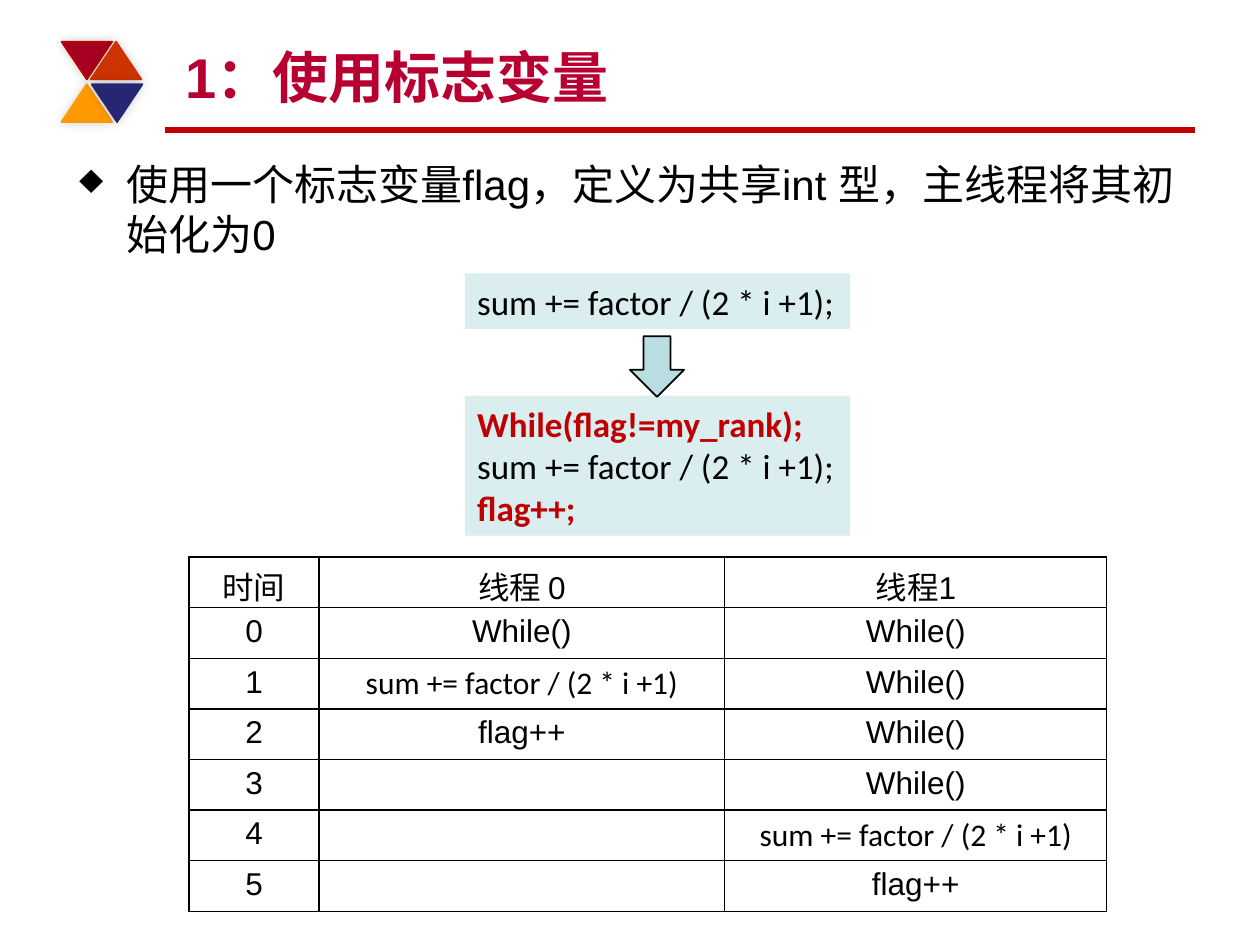
"""Build a slide on serialising threads with a flag variable."""
import pptx
import pptx.dml.color
import pptx.enum.shapes
import pptx.enum.text
import pptx.oxml
import pptx.oxml.ns
import pptx.util
from lxml import etree

Cm, Pt = pptx.util.Cm, pptx.util.Pt
SHAPE = pptx.enum.shapes.MSO_SHAPE
ANCHOR = pptx.enum.text.MSO_ANCHOR
ALIGN = pptx.enum.text.PP_ALIGN
AUTO = pptx.enum.text.MSO_AUTO_SIZE
NS = pptx.oxml.ns.nsdecls("a")

THEME = {
    "sans": "Arial", "code": "Calibri",
    "black": "000000", "title": "B70031", "accent": "C00000",
    "panel": "DAEDEF", "arrow": "BADDE1",
    "title_pt": 32, "body_pt": 24, "code_pt": 20, "table_pt": 18,
}

TITLE = "1：使用标志变量"
BODY = "使用一个标志变量flag，定义为共享int 型，主线程将其初始化为0"
SUM = "sum += factor / (2 * i +1)"
PANELS = [
    (5.51, 1.12, [(SUM + ";", False)]),
    (7.98, 2.82, [("While(flag!=my_rank);", True), (SUM + ";", False), ("flag++;", True)]),
]
TRIANGLES = [
    (1.24, 0.84, 180, "A50021", "C00000"),
    (1.83, 0.84, 0, "CC3300", "CC3300"),
    (1.24, 1.7, 0, "FF9900", "FF9900"),
    (1.85, 1.7, 180, "262673", "262673"),
]
COLUMNS = [2.62, 8.18, 7.7]
ROW_HEIGHT = 1.02
ROWS = [
    ("时间", "线程 0", "线程1"),
    ("0", "While()", "While()"),
    ("1", SUM, "While()"),
    ("2", "flag++", "While()"),
    ("3", "", "While()"),
    ("4", "", SUM),
    ("5", "", "flag++"),
]


def rgb(value):
    return pptx.dml.color.RGBColor.from_string(value)


def add_run(p, text, size, font="sans", color="black", bold=False):
    r = p.add_run()
    r.text = text
    r.font.name = THEME[font]
    r.font.size = Pt(THEME[size])
    r.font.bold = bold
    r.font.color.rgb = rgb(THEME[color])


def add_shape(s, kind, box, fill, line=None):
    sp = s.shapes.add_shape(kind, *map(Cm, box))
    sp.shadow.inherit = False
    sp.fill.solid()
    sp.fill.fore_color.rgb = rgb(fill)
    if line:
        sp.line.color.rgb = rgb(line)
        sp.line.width = Pt(1)
    else:
        sp.line.fill.background()
    return sp


def add_ornament(s):
    rule = s.shapes.add_connector(
        pptx.enum.shapes.MSO_CONNECTOR.STRAIGHT, Cm(3.33), Cm(2.62), Cm(24.08), Cm(2.62))
    rule.line.color.rgb = rgb(THEME["accent"])
    rule.line.width = Pt(3)
    etree.SubElement(rule.element.spPr, pptx.oxml.ns.qn("a:effectLst"))
    for left, top, turn, fill, line in TRIANGLES:
        sp = add_shape(s, SHAPE.ISOSCELES_TRIANGLE, (left, top, 1.02, 0.76), fill, line)
        sp.rotation = turn
        sp.element.spPr.find(pptx.oxml.ns.qn("a:effectLst")).append(pptx.oxml.parse_xml(
            f'<a:outerShdw {NS} blurRad="{Pt(6)}" dist="0" dir="18900000">'
            '<a:srgbClr val="000000"><a:alpha val="20000"/></a:srgbClr></a:outerShdw>'))


def add_title(s):
    sp = s.shapes.title
    sp.left, sp.top, sp.width, sp.height = map(Cm, (3.48, 0.64, 20.32, 1.7))
    tf = sp.text_frame
    tf.auto_size = AUTO.NONE
    tf.vertical_anchor = ANCHOR.BOTTOM
    p = tf.paragraphs[0]
    p.alignment = ALIGN.LEFT
    add_run(p, TITLE, "title_pt", color="title", bold=True)


def add_body(s):
    tf = s.shapes.add_textbox(*map(Cm, (1.35, 3.07, 22.73, 15.14))).text_frame
    tf.word_wrap = True
    p = tf.paragraphs[0]
    pPr = p._p.get_or_add_pPr()
    pPr.set("marL", str(Cm(0.95)))
    pPr.set("indent", str(-Cm(0.95)))
    pPr.append(pptx.oxml.parse_xml(f'<a:buChar {NS} char="♦"/>'))
    add_run(p, BODY, "body_pt")


def add_panels(s):
    for top, height, lines in PANELS:
        sp = add_shape(s, SHAPE.RECTANGLE, (9.37, top, 7.77, height), THEME["panel"])
        tf = sp.text_frame
        tf.word_wrap = False
        tf.auto_size = AUTO.SHAPE_TO_FIT_TEXT
        for i, (text, added) in enumerate(lines):
            p = tf.add_paragraph() if i else tf.paragraphs[0]
            p.alignment = ALIGN.LEFT
            add_run(p, text, "code_pt", "code", "accent" if added else "black", added)
    add_shape(s, SHAPE.DOWN_ARROW, (12.7, 6.78, 1.09, 1.22), THEME["arrow"], THEME["black"])


def add_borders(cell):
    tcPr = cell._tc.get_or_add_tcPr()
    for i, side in enumerate(("lnL", "lnR", "lnT", "lnB")):
        tcPr.insert(i, pptx.oxml.parse_xml(
            f'<a:{side} {NS} w="{Pt(1)}"><a:solidFill>'
            f'<a:srgbClr val="{THEME["black"]}"/></a:solidFill></a:{side}>'))


def add_schedule(s):
    box = (3.81, 11.23, sum(COLUMNS), ROW_HEIGHT * len(ROWS))
    table = s.shapes.add_table(len(ROWS), len(COLUMNS), *map(Cm, box)).table
    table.first_row = table.horz_banding = False
    for column, width in zip(table.columns, COLUMNS):
        column.width = Cm(width)
    for row, texts in zip(table.rows, ROWS):
        row.height = Cm(ROW_HEIGHT)
        for cell, text in zip(row.cells, texts):
            cell.fill.background()
            add_borders(cell)
            p = cell.text_frame.paragraphs[0]
            p.alignment = ALIGN.CENTER
            if text:
                add_run(p, text, "table_pt", "code" if text == SUM else "sans")


def main():
    prs = pptx.Presentation()
    prs.slide_width, prs.slide_height = Cm(25.4), Cm(19.05)
    s = prs.slides.add_slide(prs.slide_layouts[5])
    add_ornament(s)
    add_title(s)
    add_body(s)
    add_panels(s)
    add_schedule(s)
    prs.save("out.pptx")


if __name__ == "__main__":
    main()
